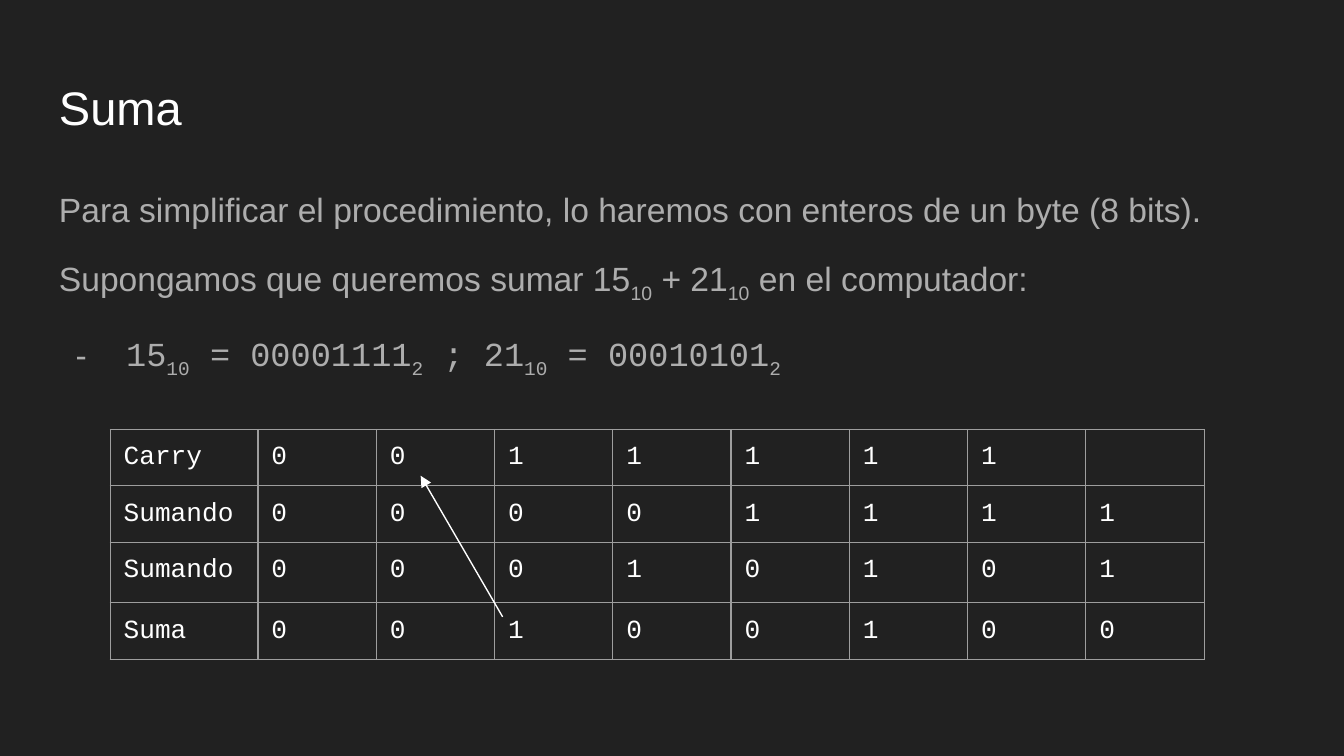
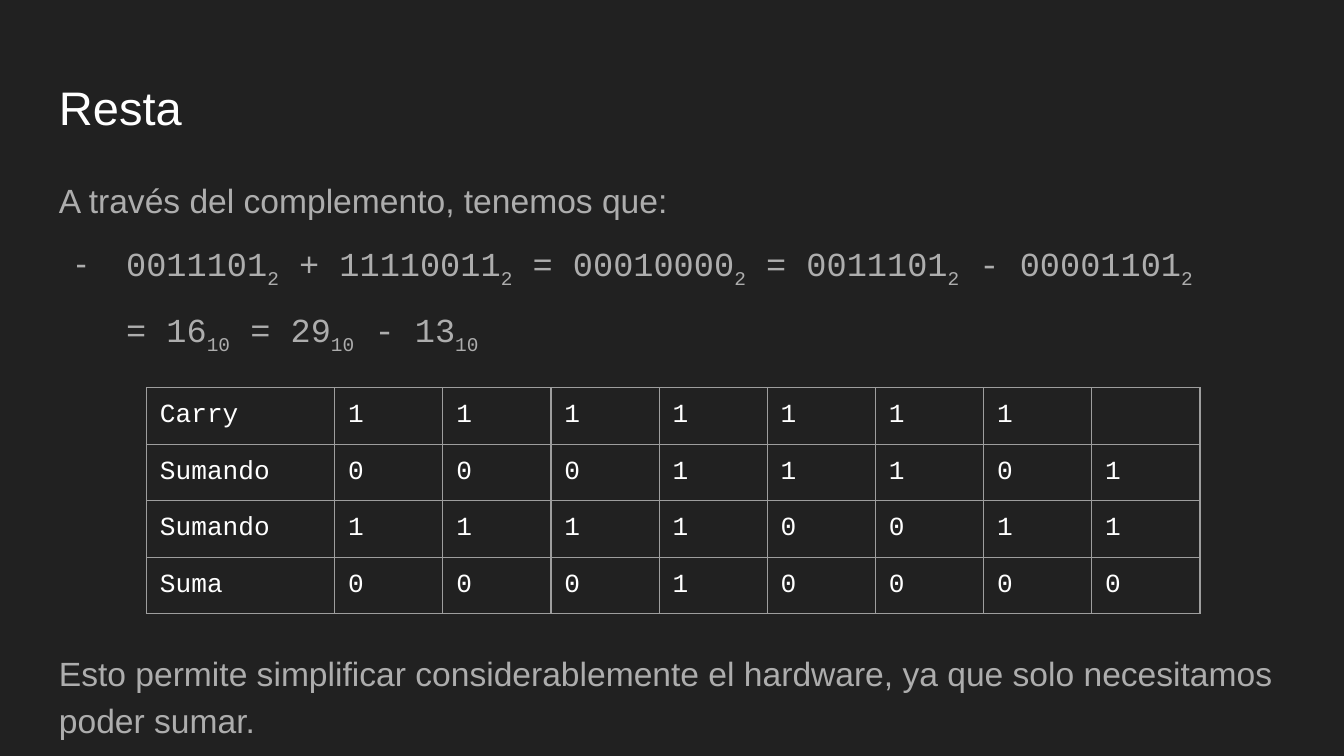
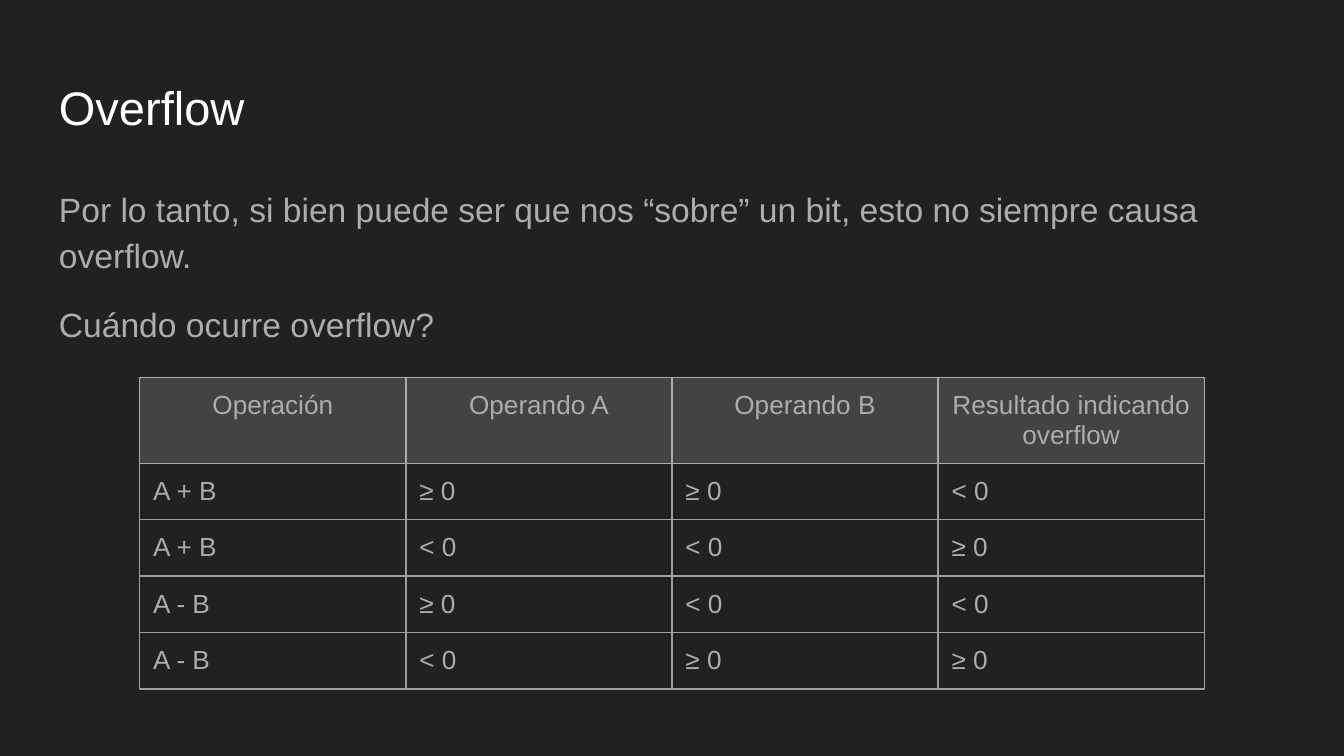
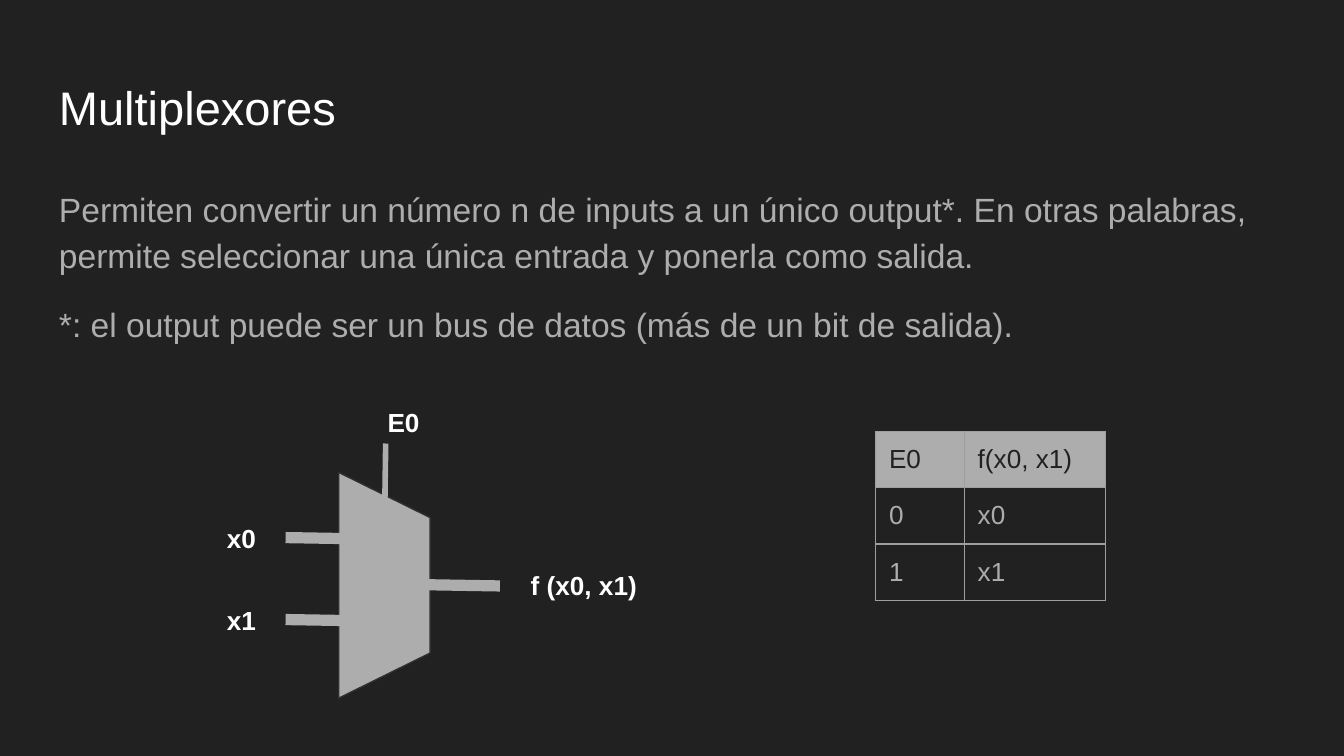
from lxml.etree import SubElement
from pptx import Presentation
from pptx.dml.color import RGBColor
from pptx.enum.shapes import MSO_CONNECTOR, MSO_SHAPE
from pptx.enum.text import MSO_ANCHOR, MSO_AUTO_SIZE, PP_ALIGN
from pptx.oxml.ns import qn
from pptx.util import Emu, Pt

PX = 4572
COLORS = {
    "background": "212121",
    "title": "FFFFFF",
    "body": "ADADAD",
    "grid": "9E9E9E",
    "header": "434343",
    "outline": "303030",
}
FONTS = {
    "title": {"name": "Arial", "size": Pt(25.2)},
    "body": {"name": "Arial", "size": Pt(18)},
    "binary": {"name": "Courier New", "size": Pt(18)},
    "cell": {"name": "Arial", "size": Pt(14)},
    "bit": {"name": "Courier New", "size": Pt(14)},
    "label": {"name": "Arial", "size": Pt(14), "bold": True},
}
INSETS = {f"margin_{side}": Emu(20 * PX) for side in ("left", "top", "right", "bottom")}
FRAME = {
    **INSETS,
    "word_wrap": True,
    "vertical_anchor": MSO_ANCHOR.TOP,
    "auto_size": MSO_AUTO_SIZE.NONE,
}
GROWING = {"auto_size": MSO_AUTO_SIZE.SHAPE_TO_FIT_TEXT}
FIRST = {"line_spacing": 1.15}
NEXT = {"line_spacing": 1.15, "space_before": Pt(12)}
LAST = {**NEXT, "space_after": Pt(12)}
TIGHT_FIRST = {"line_spacing": 0.95}
TIGHT_NEXT = {**TIGHT_FIRST, "space_before": Pt(12)}
BODY_BOX = (68, 252, 1864, 748)


def px(*lengths):
    return [Emu(length * PX) for length in lengths]


def rgb(color):
    return RGBColor.from_string(COLORS[color])


def apply(target, values):
    for attribute, value in values.items():
        setattr(target, attribute, value)


def write(paragraph, text, font, color):
    for position, part in enumerate(text.split("~")):
        if not part:
            continue
        run = paragraph.add_run()
        run.text = part
        apply(run.font, FONTS[font])
        run.font.color.rgb = rgb(color)
        if position % 2:
            run.font._element.set("baseline", "-25000")


def indent(paragraph, hanging, bullet=None):
    properties = paragraph._p.get_or_add_pPr()
    properties.set("marL", str(100 * PX))
    properties.set("indent", str(-hanging * PX))
    if bullet:
        bullet_color = SubElement(properties, qn("a:buClr"))
        SubElement(bullet_color, qn("a:srgbClr"), val=COLORS["body"])
        SubElement(properties, qn("a:buFont"), typeface="Arial")
        SubElement(properties, qn("a:buChar"), char=bullet)


def add_text(slide, box, lines, color="body", frame_format=None):
    frame = slide.shapes.add_textbox(*px(*box)).text_frame
    apply(frame, {**FRAME, **(frame_format or {})})
    for number, (text, font, spacing, *hanging) in enumerate(lines):
        paragraph = frame.add_paragraph() if number else frame.paragraphs[0]
        if hanging:
            indent(paragraph, *hanging)
        apply(paragraph, spacing)
        write(paragraph, text, font, color)


def add_label(slide, box, text):
    add_text(slide, box, [(text, "label", {})], "title", GROWING)


def new_slide(deck, title):
    slide = deck.slides.add_slide(deck.slide_layouts[6])
    slide.background.fill.solid()
    slide.background.fill.fore_color.rgb = rgb("background")
    add_text(slide, (68, 97, 1864, 126), [(title, "title", {})], "title")
    return slide


def add_borders(cell, edges):
    properties = cell._tc.get_or_add_tcPr()
    for side in "LRTB":
        edge = SubElement(properties, qn(f"a:ln{side}"), w=str(Pt(0.75)))
        fill = SubElement(edge, qn("a:solidFill"))
        SubElement(fill, qn("a:srgbClr"), val=COLORS[edges.get(side, "grid")])


def set_empty_cell_font(paragraph, font):
    properties = paragraph._p.get_or_add_endParaRPr()
    properties.set("sz", str(FONTS[font]["size"].centipoints))
    SubElement(properties, qn("a:latin"), typeface=FONTS[font]["name"])


def add_grid(slide, origin, widths, heights, rows, font, color, header=None):
    header = header or {}
    size = (sum(widths), sum(heights))
    table = slide.shapes.add_table(len(rows), len(widths), *px(*origin, *size)).table
    apply(table, {"first_row": False, "horz_banding": False})
    for column, width in zip(table.columns, widths):
        column.width = Emu(width * PX)
    header_edge = header.get("edge", "grid")
    for number, (row, height, texts) in enumerate(zip(table.rows, heights, rows)):
        row.height = Emu(height * PX)
        is_header = bool(header) and number == 0
        edges = dict.fromkeys("LRTB", header_edge) if is_header else {}
        if number == 1:
            edges["T"] = header_edge
        for cell, text in zip(row.cells, texts):
            apply(cell, INSETS)
            add_borders(cell, edges)
            paragraph = cell.text_frame.paragraphs[0]
            if is_header:
                cell.fill.solid()
                cell.fill.fore_color.rgb = rgb(header["fill"])
                paragraph.alignment = header["alignment"]
            else:
                cell.fill.background()
            if text:
                write(paragraph, text, font, header["text"] if is_header else color)
            else:
                set_empty_cell_font(paragraph, font)


def add_addition(slide, origin, widths, heights, carry, first, second, total):
    rows = [
        ["Carry", *carry, ""],
        ["Sumando", *first],
        ["Sumando", *second],
        ["Suma", *total],
    ]
    add_grid(slide, origin, widths, heights, rows, "bit", "title")


def add_line(slide, start, end, color, width, arrow=False):
    line = slide.shapes.add_connector(MSO_CONNECTOR.STRAIGHT, *px(*start, *end))
    line.line.width = Pt(width)
    line.line.color.rgb = rgb(color)
    if arrow:
        SubElement(line.line._get_or_add_ln(), qn("a:tailEnd"), type="triangle")
    SubElement(line._element.spPr, qn("a:effectLst"))


def add_multiplexer(slide):
    body = slide.shapes.add_shape(MSO_SHAPE.FLOWCHART_MANUAL_OPERATION, *px(404, 803, 336, 136))
    body.rotation = 270
    body.shadow.inherit = False
    body.fill.solid()
    body.fill.fore_color.rgb = rgb("body")
    body.line.color.rgb = rgb("outline")
    body.line.width = Pt(0.75)
    for left, top in ((425, 800), (425, 922)):
        add_line(slide, (left, top), (left + 118, top + 2), "body", 6)
    add_line(slide, (574, 660), (572, 800), "body", 3)
    add_label(slide, (557, 585, 162, 88), "E0")
    add_label(slide, (318, 758, 162, 88), "x0")
    add_label(slide, (318, 880, 162, 88), "x1")
    add_line(slide, (626, 870), (744, 872), "body", 6)
    add_label(slide, (770, 828, 264, 88), "f (x0, x1)")


def build_sum(deck):
    slide = new_slide(deck, "Suma")
    add_text(slide, BODY_BOX, [
        ("Para simplificar el procedimiento, lo haremos con enteros de un byte (8 bits).", "body", FIRST),
        ("Supongamos que queremos sumar 15~10~ + 21~10~ en el computador:", "body", NEXT),
        ("15~10~ = 00001111~2~ ; 21~10~ = 00010101~2~", "binary", NEXT, 75, "-"),
    ])
    add_addition(slide, (164, 639), [220] + [176] * 8, [84, 84, 90, 84],
                 "0011111", "00001111", "00010101", "00100100")
    add_line(slide, (748, 918), (626, 708), "title", 0.75, arrow=True)


def build_subtraction(deck):
    slide = new_slide(deck, "Resta")
    add_text(slide, BODY_BOX, [
        ("A través del complemento, tenemos que:", "body", TIGHT_FIRST),
        ("0011101~2~ + 11110011~2~ = 00010000~2~ = 0011101~2~ - 00001101~2~",
         "binary", TIGHT_NEXT, 75, "-"),
        ("= 16~10~ = 29~10~ - 13~10~", "binary", TIGHT_NEXT, 0),
    ])
    add_addition(slide, (218, 577), [280] + [161] * 8, [84] * 4,
                 "1111111", "00011101", "11110011", "00010000")
    add_text(slide, (68, 943, 1864, 170), [
        ("Esto permite simplificar considerablemente el hardware, ya que solo necesitamos poder sumar.",
         "body", {**FIRST, "space_after": Pt(12)}),
    ], frame_format=GROWING)


def build_overflow(deck):
    slide = new_slide(deck, "Overflow")
    add_text(slide, BODY_BOX, [
        ("Por lo tanto, si bien puede ser que nos “sobre” un bit, esto no siempre causa overflow.",
         "body", FIRST),
        ("Cuándo ocurre overflow?", "body", LAST),
    ])
    rows = [
        ["Operación", "Operando A", "Operando B", "Resultado indicando overflow"],
        ["A + B", "≥ 0", "≥ 0", "< 0"],
        ["A + B", "< 0", "< 0", "≥ 0"],
        ["A - B", "≥ 0", "< 0", "< 0"],
        ["A - B", "< 0", "≥ 0", "≥ 0"],
    ]
    header = {"fill": "header", "text": "body", "edge": "body", "alignment": PP_ALIGN.CENTER}
    add_grid(slide, (208, 562), [396] * 4, [84] * 5, rows, "cell", "body", header)


def build_multiplexers(deck):
    slide = new_slide(deck, "Multiplexores")
    add_text(slide, (68, 252, 1864, 302), [
        ("Permiten convertir un número n de inputs a un único output*. En otras palabras, "
         "permite seleccionar una única entrada y ponerla como salida.", "body", FIRST),
        ("*: el output puede ser un bus de datos (más de un bit de salida).", "body", LAST),
    ])
    rows = [["E0", "f(x0, x1)"], ["0", "x0"], ["1", "x1"]]
    header = {"fill": "body", "text": "background", "alignment": PP_ALIGN.LEFT}
    add_grid(slide, (1303, 642), [132, 210], [82] * 3, rows, "cell", "body", header)
    add_multiplexer(slide)


def main():
    deck = Presentation()
    apply(deck, dict(zip(("slide_width", "slide_height"), px(2000, 1125))))
    for build in (build_sum, build_subtraction, build_overflow, build_multiplexers):
        build(deck)
    deck.save("out.pptx")


if __name__ == "__main__":
    main()
